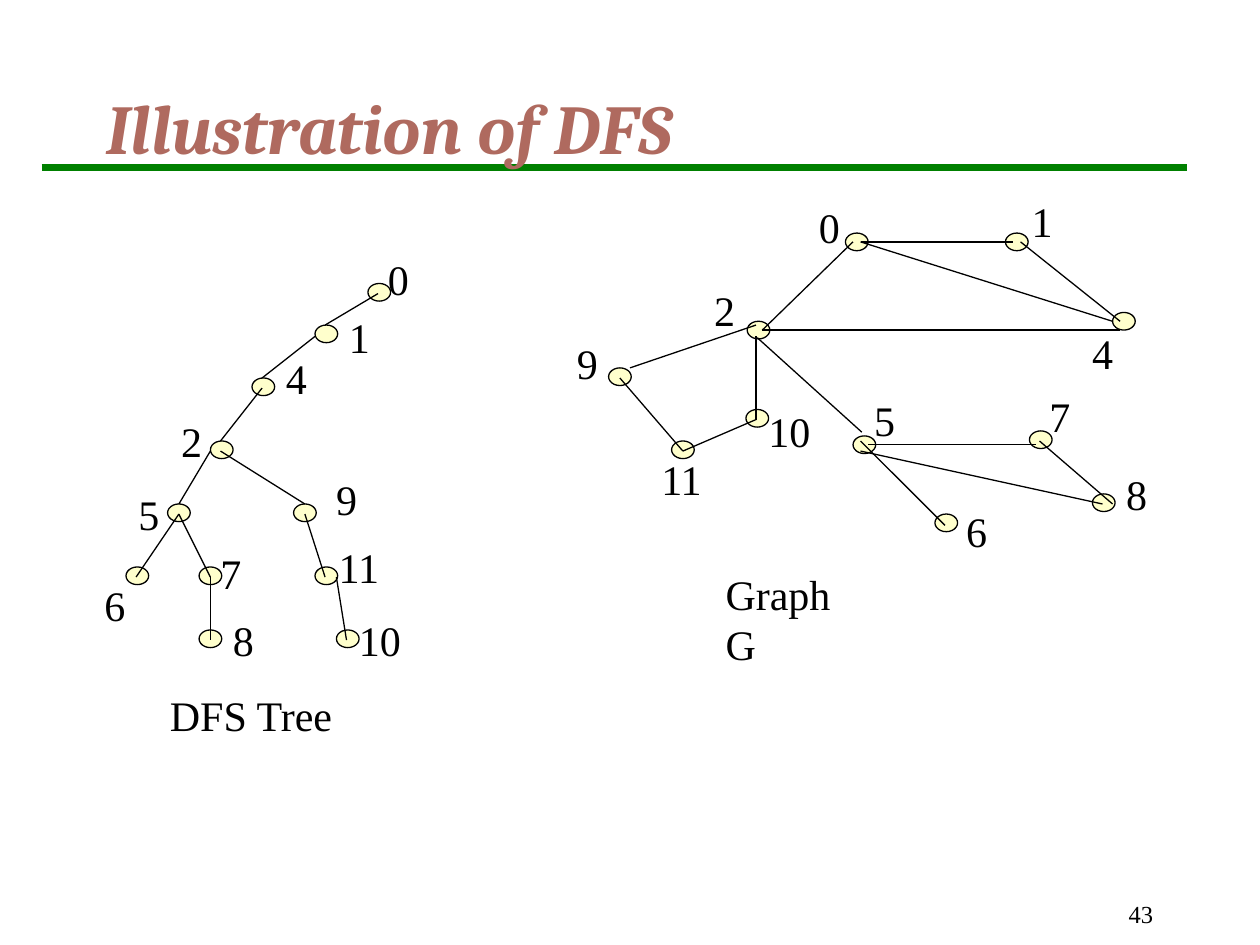
from typing import NamedTuple

from lxml.etree import SubElement
from pptx import Presentation as new_presentation
from pptx.dml.color import RGBColor
from pptx.enum.shapes import MSO_CONNECTOR as Connector, MSO_SHAPE as Preset
from pptx.enum.text import MSO_ANCHOR as Anchor, MSO_AUTO_SIZE as AutoSize, PP_ALIGN as Align
from pptx.oxml.ns import qn
from pptx.slide import Slide
from pptx.util import Cm, Pt

CM_PER_UNIT = 2.54  # layout coordinates run on a 10 by 7.5 grid
NODE_WIDTH, NODE_HEIGHT = 0.18, 0.14
TEXT_HEIGHT = 0.5
BLACK, CREAM, GREEN, TERRACOTTA = "000000", "FFFFCC", "008000", "AF6A5F"
BODY_FONT, TITLE_FONT = "Times New Roman", "Cambria"


class Node(NamedTuple):
    label: str
    left: float
    top: float
    label_left: float
    label_top: float


class Edge(NamedTuple):
    start_x: float
    start_y: float
    end_x: float
    end_y: float


class Caption(NamedTuple):
    text: str
    left: float
    top: float
    width: float


class Diagram(NamedTuple):
    nodes: list[Node]
    edges: list[Edge]
    caption: Caption


GRAPH = Diagram(
    nodes=[
        Node("0", 6.71, 1.85, 6.4, 1.55),
        Node("1", 7.98, 1.85, 8.09, 1.5),
        Node("2", 5.93, 2.55, 5.57, 2.21),
        Node("4", 8.83, 2.48, 8.57, 2.55),
        Node("5", 6.77, 3.46, 6.84, 3.08),
        Node("6", 7.42, 4.08, 7.57, 3.96),
        Node("7", 8.17, 3.42, 8.23, 3.05),
        Node("8", 8.67, 3.92, 8.84, 3.67),
        Node("9", 4.83, 2.92, 4.48, 2.63),
        Node("10", 5.92, 3.25, 6, 3.17),
        Node("11", 5.33, 3.5, 5.15, 3.55),
    ],
    edges=[
        Edge(6.83, 1.92, 8.04, 1.92),
        Edge(6.05, 2.62, 8.89, 2.62),
        Edge(6.05, 2.62, 6.77, 1.92),
        Edge(8.1, 1.92, 8.89, 2.55),
        Edge(6.89, 3.53, 8.22, 3.53),
        Edge(6.83, 1.92, 8.83, 2.55),
        Edge(6.84, 3.43, 6.01, 2.68),
        Edge(8.25, 3.5, 8.83, 4),
        Edge(6.83, 3.5, 7.5, 4.17),
        Edge(6.83, 3.58, 8.75, 4),
        Edge(6, 2.58, 5, 2.92),
        Edge(6, 2.67, 6, 3.33),
        Edge(4.92, 3, 5.42, 3.58),
        Edge(6, 3.33, 5.42, 3.58),
    ],
    caption=Caption("Graph G", 5.66, 4.46, 1.35),
)

TREE = Diagram(
    nodes=[
        Node("0", 2.92, 2.25, 2.98, 1.96),
        Node("1", 2.5, 2.58, 2.67, 2.42),
        Node("4", 2, 3, 2.17, 2.75),
        Node("2", 1.67, 3.5, 1.34, 3.25),
        Node("5", 1.33, 4, 1, 3.83),
        Node("6", 1, 4.5, 0.73, 4.55),
        Node("7", 1.58, 4.5, 1.65, 4.3),
        Node("8", 1.58, 5, 1.75, 4.83),
        Node("9", 2.33, 4, 2.57, 3.71),
        Node("11", 2.5, 4.5, 2.59, 4.25),
        Node("10", 2.67, 5, 2.75, 4.83),
    ],
    edges=[
        Edge(2.58, 2.58, 3, 2.33),
        Edge(2.08, 3, 2.5, 2.67),
        Edge(2.08, 3.08, 1.75, 3.5),
        Edge(1.42, 4, 1.67, 3.58),
        Edge(1.08, 4.58, 1.42, 4.08),
        Edge(1.42, 4.08, 1.67, 4.58),
        Edge(1.67, 4.58, 1.67, 5.08),
        Edge(1.75, 3.58, 2.42, 4),
        Edge(2.42, 4.08, 2.58, 4.58),
        Edge(2.67, 4.58, 2.75, 5.08),
    ],
    caption=Caption("DFS Tree", 1.25, 5.42, 1.5),
)


def lengths(*units: float) -> list[Cm]:
    """Convert layout coordinates to slide lengths."""
    return [Cm(unit * CM_PER_UNIT) for unit in units]


def color(value: str) -> RGBColor:
    return RGBColor.from_string(value)


def add_line(slide: Slide, edge: Edge, line_color: str = BLACK, width: float = 0.75) -> None:
    line = slide.shapes.add_connector(Connector.STRAIGHT, *lengths(*edge))
    line.line.color.rgb = color(line_color)
    line.line.width = Pt(width)
    SubElement(line._element.spPr, qn("a:effectLst"))


def add_text(slide: Slide, text: str, left: float, top: float, width: float,
             height: float = TEXT_HEIGHT, *, size: int = 24, font: str = BODY_FONT,
             text_color: str = BLACK, emphasis: bool = False, wrap: bool = False,
             anchor: Anchor = Anchor.TOP, align: Align = Align.LEFT) -> None:
    """Add a text box; emphasis makes it bold italic, and unwrapped boxes fit their text."""
    text_frame = slide.shapes.add_textbox(*lengths(left, top, width, height)).text_frame
    text_frame.text = text
    text_frame.word_wrap = wrap
    text_frame.auto_size = AutoSize.NONE if wrap else AutoSize.SHAPE_TO_FIT_TEXT
    text_frame.vertical_anchor = anchor
    paragraph = text_frame.paragraphs[0]
    paragraph.alignment = align
    run_font = paragraph.runs[0].font
    run_font.name, run_font.size = font, Pt(size)
    run_font.bold = run_font.italic = emphasis
    run_font.color.rgb = color(text_color)


def add_node(slide: Slide, node: Node) -> None:
    oval = slide.shapes.add_shape(
        Preset.OVAL, *lengths(node.left, node.top, NODE_WIDTH, NODE_HEIGHT))
    oval.shadow.inherit = False
    oval.fill.solid()
    oval.fill.fore_color.rgb = color(CREAM)
    oval.line.color.rgb = color(BLACK)
    oval.line.width = Pt(0.75)


def add_diagram(slide: Slide, diagram: Diagram) -> None:
    for node in diagram.nodes:
        add_node(slide, node)
    for edge in diagram.edges:
        add_line(slide, edge)
    for node in diagram.nodes:
        label_width = 0.19 + 0.17 * len(node.label)
        add_text(slide, node.label, node.label_left, node.label_top, label_width)
    add_text(slide, *diagram.caption)


def main() -> None:
    presentation = new_presentation()
    presentation.slide_width, presentation.slide_height = lengths(10, 7.5)
    slide = presentation.slides.add_slide(presentation.slide_layouts[6])
    add_line(slide, Edge(0.33, 1.33, 9.42, 1.33), GREEN, 4)
    add_text(slide, "43", 7.17, 6.92, 2.08, size=14, wrap=True,
             anchor=Anchor.BOTTOM, align=Align.RIGHT)
    add_text(slide, "Illustration of DFS", 0.75, 0.67, 8.5, 0.67, size=40, font=TITLE_FONT,
             text_color=TERRACOTTA, emphasis=True, wrap=True, anchor=Anchor.MIDDLE)
    for diagram in (GRAPH, TREE):
        add_diagram(slide, diagram)
    presentation.save("out.pptx")


if __name__ == "__main__":
    main()
